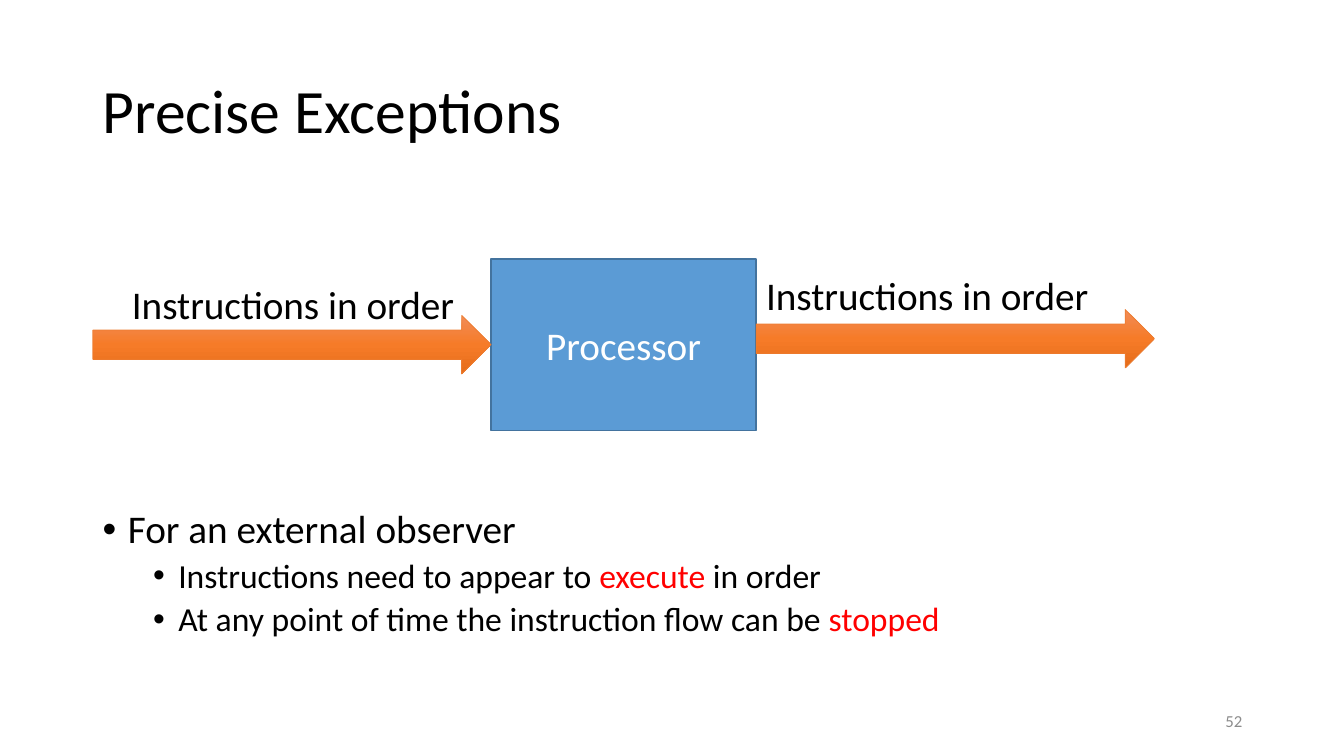
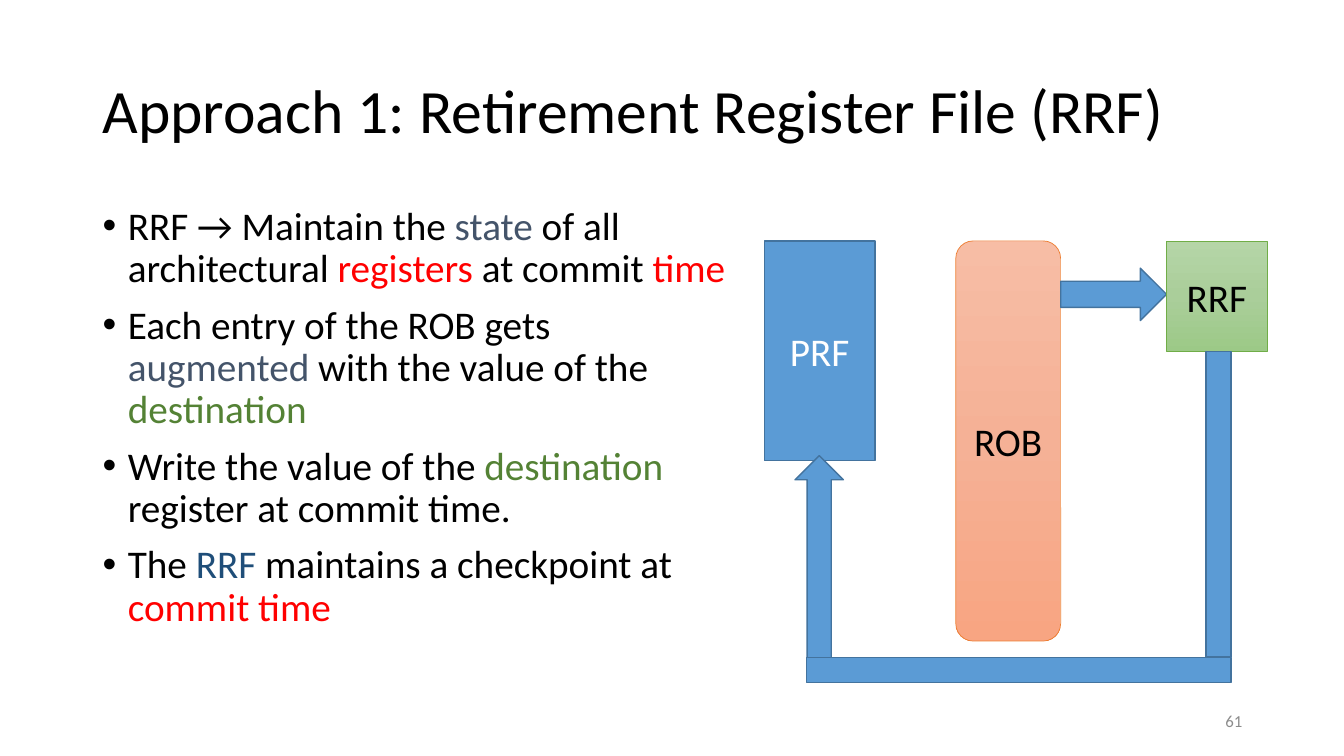
from copy import deepcopy
from dataclasses import dataclass

from lxml import etree
from pptx import Presentation
from pptx.dml.color import RGBColor
from pptx.enum.shapes import MSO_SHAPE
from pptx.enum.text import MSO_ANCHOR, PP_ALIGN
from pptx.oxml.ns import qn
from pptx.util import Inches, Pt

RECT = MSO_SHAPE.RECTANGLE
ROUND = MSO_SHAPE.ROUNDED_RECTANGLE
RIGHT = MSO_SHAPE.RIGHT_ARROW
UP = MSO_SHAPE.UP_ARROW
TOP, MIDDLE = MSO_ANCHOR.TOP, MSO_ANCHOR.MIDDLE
ALIGN_L, ALIGN_C, ALIGN_R = PP_ALIGN.LEFT, PP_ALIGN.CENTER, PP_ALIGN.RIGHT


@dataclass(frozen=True)
class Theme:
    font: str = "Calibri"
    black: str = "000000"
    white: str = "FFFFFF"
    gray: str = "8C8C8C"
    red: str = "FF0000"
    slate: str = "44546A"
    green: str = "548235"
    navy: str = "1F4E79"
    title: int = 44
    body: int = 28
    sub: int = 24
    small: int = 12
    tight: float = 0.9


T = Theme()

# Fill colours from top to bottom, line colour, line width, text colour
STYLES = {
    "blue": (["5B9BD5"], "43739E", 1, T.white),
    "orange": (["F18C57", "F67B28", "E56C19"], "ED7D31", 0.5, T.black),
    "peach": (["F7BDA5", "F5B196", "F8A582"], "ED7D31", 0.5, T.black),
    "leaf": (["B5D5A7", "AACE9A", "9CC987"], "70AD47", 0.5, T.black),
}

# Text size, left indent, space before
LEVELS = [(T.body, 0.25, 10), (T.sub, 0.75, 5)]

# Each bullet is a level and its runs; a run is text and colour
EXTERNAL = [
    (0, [("For an external observer", T.black)]),
    (1, [("Instructions need to appear to ", T.black), ("execute", T.red),
         (" in order", T.black)]),
    (1, [("At any point of time the instruction flow can be ", T.black),
         ("stopped", T.red)]),
]
RETIRE = [
    (0, [("RRF → Maintain the ", T.black), ("state", T.slate),
         (" of all architectural ", T.black), ("registers", T.red),
         (" at commit ", T.black), ("time", T.red)]),
    (0, [("Each entry of the ROB gets ", T.black), ("augmented", T.slate),
         (" with the value of the ", T.black), ("destination", T.green)]),
    (0, [("Write the value of the ", T.black), ("destination", T.green),
         (" register at commit time.", T.black)]),
    (0, [("The ", T.black), ("RRF", T.navy),
         (" maintains a checkpoint at ", T.black), ("commit time", T.red)]),
]
FLOW = "Instructions in order"


def add_run(para, text, size, color):
    run = para.add_run()
    run.text = text
    run.font.name = T.font
    run.font.size = Pt(size)
    run.font.color.rgb = RGBColor.from_string(color)


def add_box(slide, at, anchor=TOP, wrap=True):
    frame = slide.shapes.add_textbox(*map(Inches, at)).text_frame
    frame.word_wrap = wrap
    frame.vertical_anchor = anchor
    return frame


def add_line(slide, at, text, size, color=T.black, anchor=TOP, align=ALIGN_L,
             wrap=True, spacing=1.0):
    para = add_box(slide, at, anchor, wrap).paragraphs[0]
    para.alignment = align
    para.line_spacing = spacing
    add_run(para, text, size, color)


def add_bullets(slide, at, items):
    frame = add_box(slide, at)
    for i, (level, runs) in enumerate(items):
        size, indent, before = LEVELS[level]
        para = frame.add_paragraph() if i else frame.paragraphs[0]
        para.level = level
        props = para._p.get_or_add_pPr()
        props.set("marL", str(Inches(indent)))
        props.set("indent", str(Inches(-0.25)))
        etree.SubElement(props, qn("a:buFont")).set("typeface", "Arial")
        etree.SubElement(props, qn("a:buChar")).set("char", "•")
        para.line_spacing = T.tight
        if i:
            para.space_before = Pt(before)
        for text, color in runs:
            add_run(para, text, size, color)


def paint(shape, colors):
    """Fill with one colour, or with a three-stop gradient from top to bottom."""
    fill = shape.fill
    if len(colors) == 1:
        fill.solid()
        fill.fore_color.rgb = RGBColor.from_string(colors[0])
        return
    fill.gradient()
    fill.gradient_angle = 270
    stops = shape._element.spPr.find(qn("a:gradFill")).find(qn("a:gsLst"))
    stops.append(deepcopy(stops[0]))
    for i, (stop, color) in enumerate(zip(fill.gradient_stops, colors)):
        stop.position = i / (len(colors) - 1)
        stop.color.rgb = RGBColor.from_string(color)


def add_block(slide, kind, at, style="blue", text=""):
    colors, edge, width, ink = STYLES[style]
    shape = slide.shapes.add_shape(kind, *map(Inches, at))
    shape.shadow.inherit = False
    paint(shape, colors)
    shape.line.color.rgb = RGBColor.from_string(edge)
    shape.line.width = Pt(width)
    if text:
        shape.text_frame.vertical_anchor = MIDDLE
        para = shape.text_frame.paragraphs[0]
        para.alignment = ALIGN_C
        add_run(para, text, T.body, ink)


def new_slide(deck, title, number):
    slide = deck.slides.add_slide(deck.slide_layouts[6])
    add_line(slide, (0.92, 0.4, 11.5, 1.45), title, T.title,
             anchor=MIDDLE, spacing=T.tight)
    add_line(slide, (9.42, 6.95, 3, 0.4), number, T.small, T.gray,
             MIDDLE, ALIGN_R)
    return slide


def draw_flow(slide):
    left, top, width, height = 4.87, 2.57, 2.63, 1.7
    length, thick = 3.95, 0.58
    add_block(slide, RECT, (left, top, width, height), text="Processor")
    # Arrow left, arrow top, label left, label top
    for x, y, label_x, label_y in (
        (left - length, 3.13, 1.21, 2.73),
        (left + width, 3.07, left + width, 2.64),
    ):
        add_block(slide, RIGHT, (x, y, length, thick), "orange")
        add_line(slide, (label_x, label_y, 3.44, 0.57), FLOW, T.body,
                 wrap=False)


def draw_files(slide):
    """Draw the three register stores and the path from RRF back to PRF."""
    top = 2.39
    rob_x, rob_w = 9.48, 1.04
    rrf_x, rrf_h = 11.57, 1.1
    rob_end, rrf_end = rob_x + rob_w, top + rrf_h
    add_block(slide, ROUND, (rob_x, top, rob_w, 3.97), "peach", "ROB")
    add_block(slide, RIGHT, (rob_end, 2.66, rrf_x - rob_end, 0.52))
    add_block(slide, RECT, (rrf_x, top, 1, rrf_h), "leaf", "RRF")
    add_block(slide, RECT, (7.58, top, 1.1, 2.18), text="PRF")

    path_x, path_y, path_w, thick = 8, 6.52, 4.21, 0.25
    head, rise = 0.48, 2.24
    add_block(slide, UP, (path_x + (thick - head) / 2, path_y - 2, head, rise))
    add_block(slide, RECT, (path_x, path_y, path_w, thick))
    add_block(slide, RECT, (path_x + path_w - thick, rrf_end,
                            thick, path_y - rrf_end))


def main():
    deck = Presentation()
    deck.slide_width, deck.slide_height = Inches(13.33), Inches(7.5)

    slide = new_slide(deck, "Precise Exceptions", "52")
    add_bullets(slide, (0.92, 5.01, 11.5, 1.74), EXTERNAL)
    draw_flow(slide)

    slide = new_slide(deck, "Approach 1: Retirement Register File (RRF)", "61")
    add_bullets(slide, (0.92, 2, 6.5, 4.76), RETIRE)
    draw_files(slide)

    deck.save("out.pptx")


if __name__ == "__main__":
    main()
